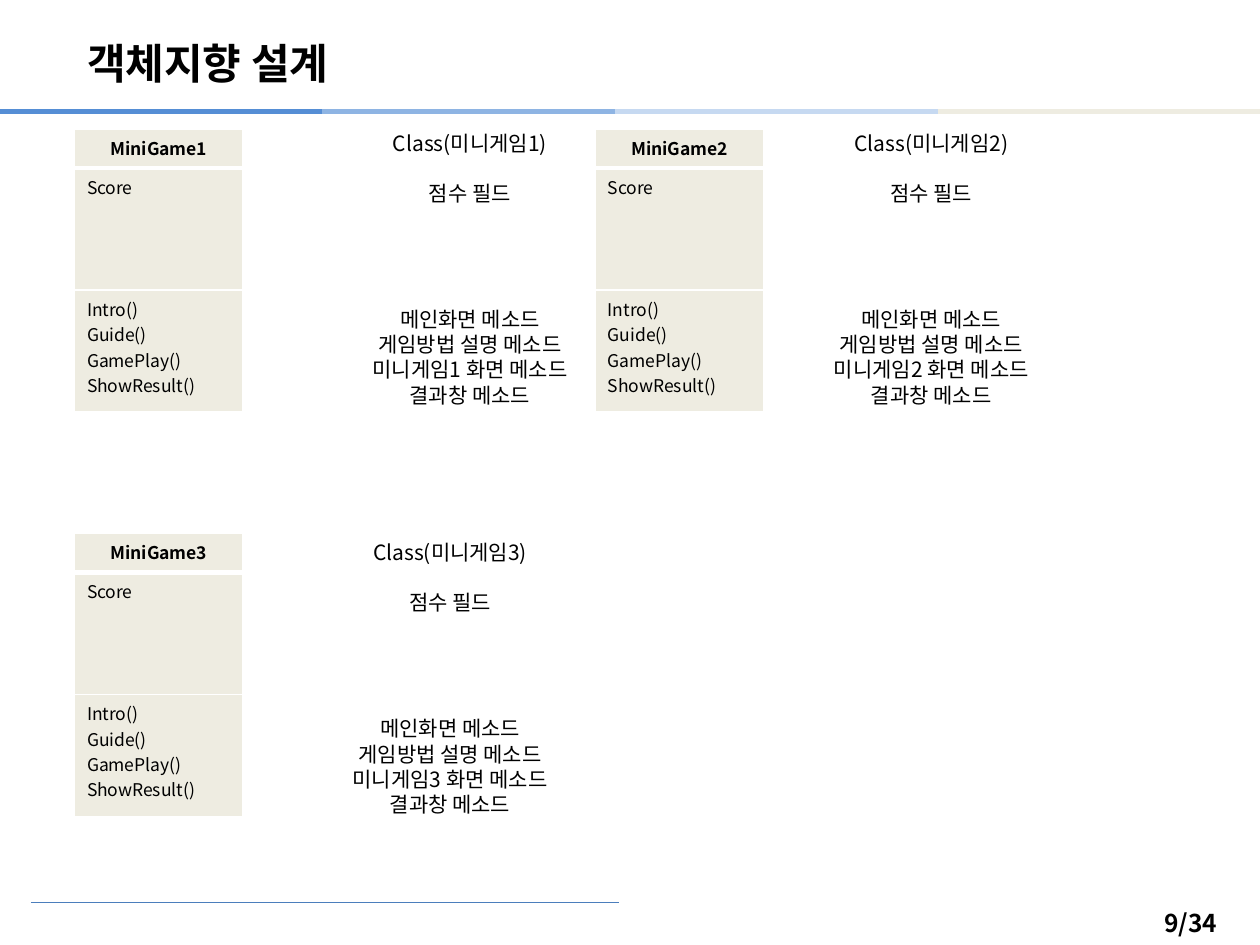
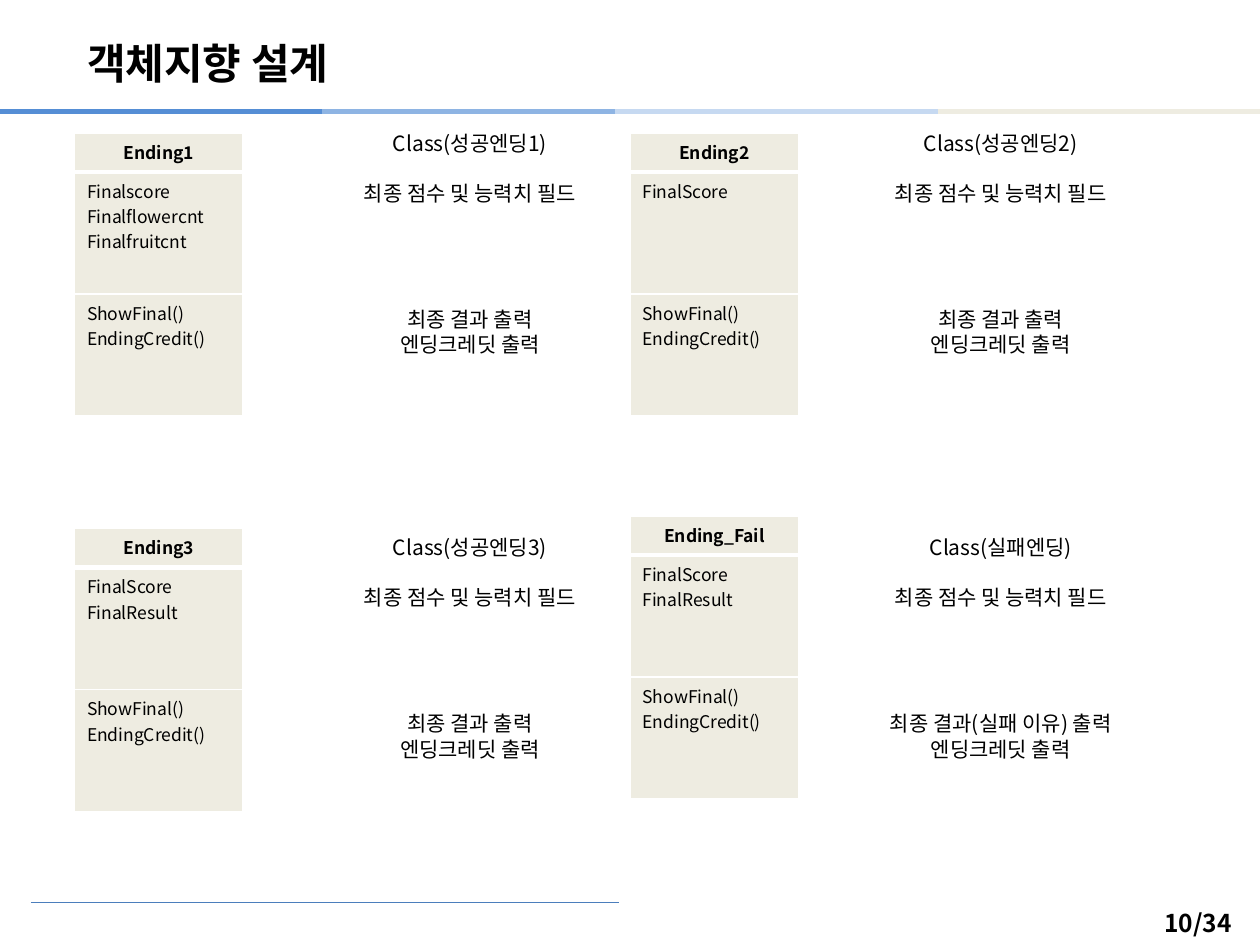
"""Two class-design slides: the mini games and the endings."""
from dataclasses import dataclass

from lxml import etree
from pptx import Presentation
from pptx.dml.color import RGBColor
from pptx.enum import shapes, text
from pptx.oxml.ns import qn
from pptx.util import Cm, Pt

FONT = "Noto Sans CJK KR"
BLACK, WHITE, CREAM = "000000", "FFFFFF", "EEECE1"
RULE = "4B7EBC"
LEFT, MID = text.PP_ALIGN.LEFT, text.PP_ALIGN.CENTER
TITLE = "객체지향 설계"
TOTAL = 34
LINE = 14.4  # height of one note line, in points
ROWS = (0.79, 2.46, 2.46)


@dataclass
class Band:
    """One stretch of the coloured line under the title, in cm."""
    left: float
    right: float
    color: str


@dataclass
class Card:
    """A class box with the note beside it; places in cm."""
    name: str
    fields: list[str]
    calls: list[str]
    box: tuple[float, float]
    note: tuple[float, float]
    label: str
    about: str
    steps: list[str]


# The first stretch comes last because it overlaps the second.
BANDS = [
    Band(5.9, 12.4, "8EB4E3"),
    Band(12.4, 18.9, "C6D9F1"),
    Band(18.9, 25.4, CREAM),
    Band(0, 6.5, "558ED5"),
]


def rgb(code: str) -> RGBColor:
    """Turn a hex string into a colour."""
    return RGBColor.from_string(code)


def style(para, size: float, bold: bool = False, align=LEFT) -> None:
    """Set the font and alignment of a paragraph."""
    para.alignment = align
    font = para.font
    font.size, font.bold, font.name = Pt(size), bold, FONT
    font.color.rgb = rgb(BLACK)
    props = para._p.pPr.find(qn("a:defRPr"))
    etree.SubElement(props, qn("a:ea"), typeface=FONT)


def fill_text(frame, lines: list[str], size: float, bold: bool = False,
              align=LEFT) -> None:
    """Write one styled paragraph for each line."""
    frame.text = "\n".join(lines)
    for para in frame.paragraphs:
        style(para, size, bold, align)


def add_line(slide, start: float, end: float, top: float, color: str,
             width: float) -> None:
    """Draw a level line without a shadow."""
    line = slide.shapes.add_connector(
        shapes.MSO_CONNECTOR.STRAIGHT, Cm(start), Cm(top), Cm(end), Cm(top))
    line.line.color.rgb = rgb(color)
    line.line.width = Pt(width)
    etree.SubElement(line._element.spPr, qn("a:effectLst"))


def add_box(slide, left: float, top: float, width: float, height: float):
    """Add a wrapping text box and return its frame."""
    box = slide.shapes.add_textbox(Cm(left), Cm(top), Cm(width), Cm(height))
    box.text_frame.word_wrap = True
    return box.text_frame


def add_edges(cell, top: float, foot: float) -> None:
    """Give a cell white borders; top and foot are in points."""
    props = cell._tc.get_or_add_tcPr()
    for side, width in (("L", 1), ("R", 1), ("T", top), ("B", foot)):
        edge = etree.SubElement(props, qn(f"a:ln{side}"), w=str(Pt(width)))
        paint = etree.SubElement(edge, qn("a:solidFill"))
        etree.SubElement(paint, qn("a:srgbClr"), val=WHITE)


def add_class(slide, card: Card) -> None:
    """Draw the class box: name, fields and methods."""
    left, top = card.box
    table = slide.shapes.add_table(
        3, 1, Cm(left), Cm(top), Cm(3.4), Cm(sum(ROWS))).table
    table.first_row = table.horz_banding = False
    parts = [[card.name], card.fields, card.calls]
    edges = [(1, 3), (3, 1), (1, 1)]
    for i, (lines, edge) in enumerate(zip(parts, edges)):
        table.rows[i].height = Cm(ROWS[i])
        cell = table.cell(i, 0)
        add_edges(cell, *edge)
        cell.fill.solid()
        cell.fill.fore_color.rgb = rgb(CREAM)
        head = i == 0
        fill_text(cell.text_frame, lines, 10, head, MID if head else LEFT)


def add_note(slide, card: Card) -> None:
    """Write the note that explains a class."""
    height = 6.4 if len(card.steps) > 2 else 5.4
    frame = add_box(slide, *card.note, 5.85, height)
    fill_text(frame, [f"Class({card.label})", card.about, *card.steps],
              12, align=MID)
    for para in frame.paragraphs:
        para.line_spacing = Pt(LINE)
    frame.paragraphs[1].space_before = Pt(LINE)
    frame.paragraphs[2].space_before = Pt(4 * LINE)


def add_slide(deck, page: int, cards: list[Card]) -> None:
    """Build one slide with title, bands, footer and cards."""
    slide = deck.slides.add_slide(deck.slide_layouts[5])
    for band in BANDS:
        add_line(slide, band.left, band.right, 2.25, band.color, 3)
    add_line(slide, 0.62, 12.47, 18.19, RULE, 0.75)
    fill_text(add_box(slide, 23.22, 18.19, 1.96, 0.86),
              [f"{page}/{TOTAL}"], 14, True)

    title = slide.shapes.title
    title.left, title.top = Cm(1.5), Cm(0.5)
    title.width, title.height = Cm(21), Cm(1.52)
    frame = title.text_frame
    frame.auto_size = text.MSO_AUTO_SIZE.NONE
    frame.vertical_anchor = text.MSO_ANCHOR.MIDDLE
    fill_text(frame, [TITLE], 24, True)

    for card in cards:
        add_class(slide, card)
    for card in cards:
        add_note(slide, card)


def game(num: int, box: tuple[float, float],
         note: tuple[float, float]) -> Card:
    """Describe one mini game."""
    name = f"미니게임{num}"
    return Card(
        f"MiniGame{num}", ["Score"],
        ["Intro()", "Guide()", "GamePlay()", "ShowResult()"],
        box, note, name, "점수 필드",
        ["메인화면 메소드", "게임방법 설명 메소드",
         f"{name} 화면 메소드", "결과창 메소드"])


def ending(name: str, label: str, fields: list[str],
           box: tuple[float, float], note: tuple[float, float],
           result: str = "최종 결과 출력") -> Card:
    """Describe one ending."""
    return Card(name, fields, ["ShowFinal()", "EndingCredit()"], box, note,
                label, "최종 점수 및 능력치 필드", [result, "엔딩크레딧 출력"])


def main() -> None:
    """Build and save the deck."""
    deck = Presentation()
    deck.slide_width, deck.slide_height = Cm(25.4), Cm(19.05)
    final = ["FinalScore", "FinalResult"]
    add_slide(deck, 9, [
        game(1, (1.5, 2.6), (6.55, 2.5)),
        game(2, (12, 2.6), (15.85, 2.5)),
        game(3, (1.5, 10.75), (6.15, 10.75)),
    ])
    add_slide(deck, 10, [
        ending("Ending1", "성공엔딩1",
               ["Finalscore", "Finalflowercnt", "Finalfruitcnt"],
               (1.5, 2.68), (6.55, 2.5)),
        ending("Ending3", "성공엔딩3", final, (1.5, 10.65), (6.55, 10.65)),
        ending("Ending2", "성공엔딩2", final[:1], (12.7, 2.68), (17.25, 2.5)),
        ending("Ending_Fail", "실패엔딩", final, (12.7, 10.4),
               (17.25, 10.65), "최종 결과(실패 이유) 출력"),
    ])
    deck.save("out.pptx")


main()
